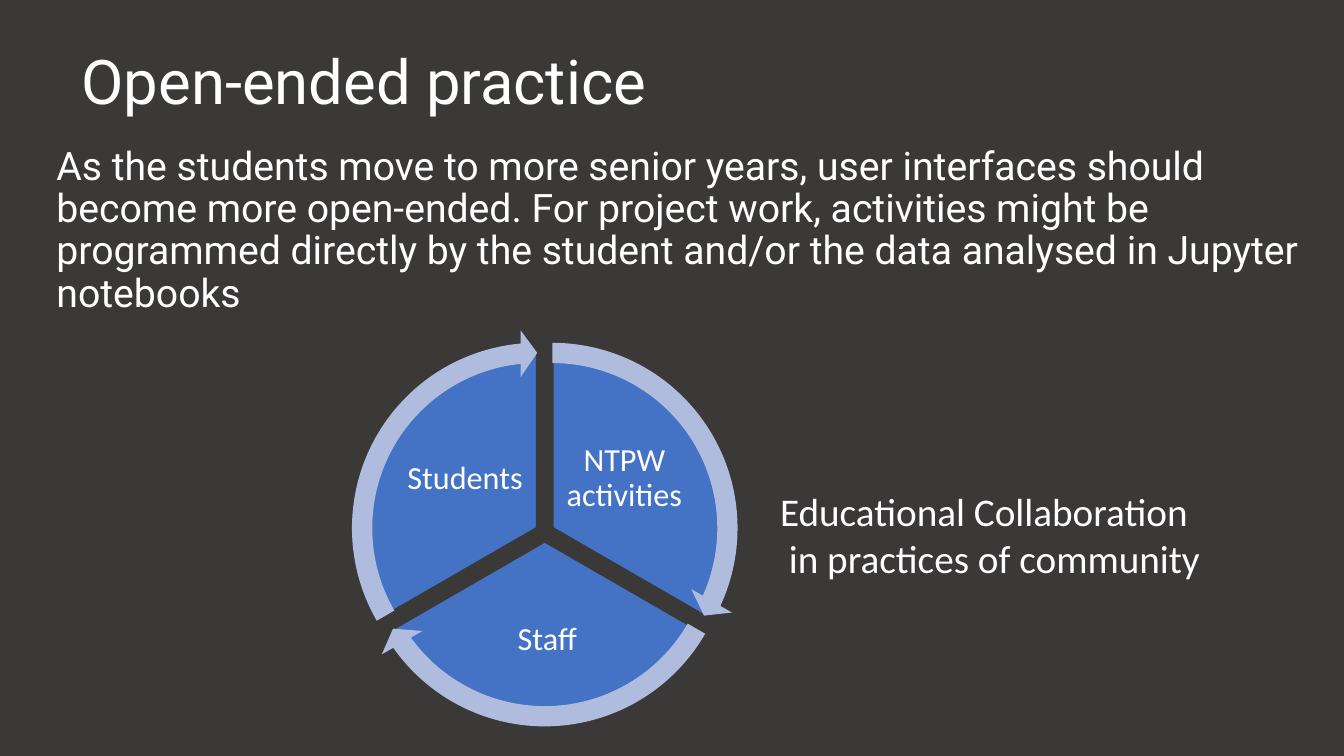
from math import cos, radians, sin

from pptx import Presentation
from pptx.dml.color import RGBColor
from pptx.enum.shapes import MSO_SHAPE
from pptx.enum.text import MSO_ANCHOR, MSO_AUTO_SIZE, PP_ALIGN
from pptx.oxml.ns import qn
from pptx.util import Pt

BACKGROUND, WHITE, LABEL = "3B3838", "FFFFFF", "FEFDFF"
SECTOR, ARROW = "4472C4", "B0BCDE"
SECTORS = [
    ("NTPW activities", -90, (56.9, -38.4), (90, 74.9)),
    ("Staff", 30, (1.8, 76.8), (135.4, 66.2)),
    ("Students", 150, (-56.9, -38.4), (90, 74.9)),
]


def color(hex_value):
    """Turn a hex string into a colour."""
    return RGBColor.from_string(hex_value)


def place(part, box):
    """Move a part to a box given in points."""
    part.left, part.top, part.width, part.height = (Pt(v) for v in box)


def write(frame, *lines, font, size, fill, align=PP_ALIGN.LEFT, spacing=1.0,
          anchor=MSO_ANCHOR.TOP, insets=(3.6, 3.6), indents=()):
    """Fill a text frame with formatted, unbulleted paragraphs."""
    frame.word_wrap = True
    frame.auto_size = MSO_AUTO_SIZE.NONE
    frame.vertical_anchor = anchor
    frame.margin_left = frame.margin_right = Pt(insets[0])
    frame.margin_top = frame.margin_bottom = Pt(insets[1])
    for index, line in enumerate(lines):
        paragraph = frame.paragraphs[0] if index == 0 else frame.add_paragraph()
        properties = paragraph._p.get_or_add_pPr()
        indent = Pt(indents[index]) if indents else 0
        properties.set("marL", str(int(indent)))
        properties.set("indent", "0")
        properties.append(properties.makeelement(qn("a:buNone"), {}))
        paragraph.alignment = align
        paragraph.line_spacing = spacing
        paragraph.space_before = Pt(0)
        run = paragraph.add_run()
        run.text = line
        run.font.name, run.font.size = font, Pt(size)
        run.font.color.rgb = color(fill)


def add_heading(slide, box):
    """Place the slide title."""
    title = slide.shapes.title
    place(title, box)
    write(title.text_frame, "Open-ended practice", font="Roboto", size=44,
          fill=WHITE, spacing=0.9, anchor=MSO_ANCHOR.MIDDLE)


def add_statement(slide, box):
    """Place the body paragraph."""
    statement = slide.placeholders[1]
    place(statement, box)
    write(statement.text_frame,
          "As the students move to more senior years, user interfaces should "
          "become more open-ended. For project work, activities might be "
          "programmed directly by the student and/or the data analysed in "
          "Jupyter notebooks",
          font="Roboto", size=28, fill=WHITE, spacing=0.9)


def add_round(slide, preset, center, diameter, fill, adjustments):
    """Draw a circular preset around a centre point."""
    x, y = (c - diameter / 2 for c in center)
    part = slide.shapes.add_shape(preset, Pt(x), Pt(y), Pt(diameter), Pt(diameter))
    part.shadow.inherit = False
    for index, value in enumerate(adjustments):
        part.adjustments[index] = value
    part.fill.solid()
    part.fill.fore_color.rgb = color(fill)
    part.line.fill.background()
    return part


def add_cycle(slide, box):
    """Draw the three labelled sectors and the arrows around them."""
    left, top, width, height = box
    ring, disc, gap, unit = 283.7, 252, 6.2, 0.6
    hub_x, hub_y = left + width / 2, top + ring / 2 + gap / 2
    arrows = []
    for name, start, (dx, dy), (label_width, label_height) in SECTORS:
        middle = radians(start + 60)
        center = hub_x + gap * cos(middle), hub_y + gap * sin(middle)
        begin, end = start % 360 * unit, (start + 120) % 360 * unit
        sector = add_round(slide, MSO_SHAPE.PIE, center, disc, SECTOR, (begin, end))
        sector.line.color.rgb = color(BACKGROUND)
        sector.line.width = Pt(2)
        label = slide.shapes.add_textbox(
            Pt(hub_x + dx - label_width / 2), Pt(hub_y + dy - label_height / 2),
            Pt(label_width), Pt(label_height))
        write(label.text_frame, name, font="Calibri", size=23, fill=LABEL,
              align=PP_ALIGN.CENTER, spacing=0.9, anchor=MSO_ANCHOR.MIDDLE,
              insets=(2.2, 2.2))
        tip = (start + 114.54) % 360 * unit
        arrows.append((center, (0.051, 3.275, tip, begin, 0.059)))
    for center, adjustments in arrows:
        add_round(slide, MSO_SHAPE.CIRCULAR_ARROW, center, ring, ARROW, adjustments)


def add_caption(slide, box):
    """Place the caption beside the cycle."""
    caption = slide.shapes.add_textbox(*(Pt(v) for v in box))
    write(caption.text_frame, "Educational Collaboration",
          "in practices of community", font="Calibri", size=28, fill=LABEL,
          insets=(7.2, 3.6), indents=(0, 6.3))


def main():
    """Build and save the slide."""
    deck = Presentation()
    deck.slide_width, deck.slide_height = Pt(960), Pt(540)
    slide = deck.slides.add_slide(deck.slide_layouts[1])
    slide.background.fill.solid()
    slide.background.fill.fore_color.rgb = color(BACKGROUND)
    add_heading(slide, (54.7, 7.9, 828, 104.4))
    add_statement(slide, (36.7, 100.8, 905, 342.7))
    add_cycle(slide, (241.9, 235.4, 294.5, 293))
    add_caption(slide, (550.1, 344.2, 497.5, 74.9))
    deck.save("out.pptx")


if __name__ == "__main__":
    main()
